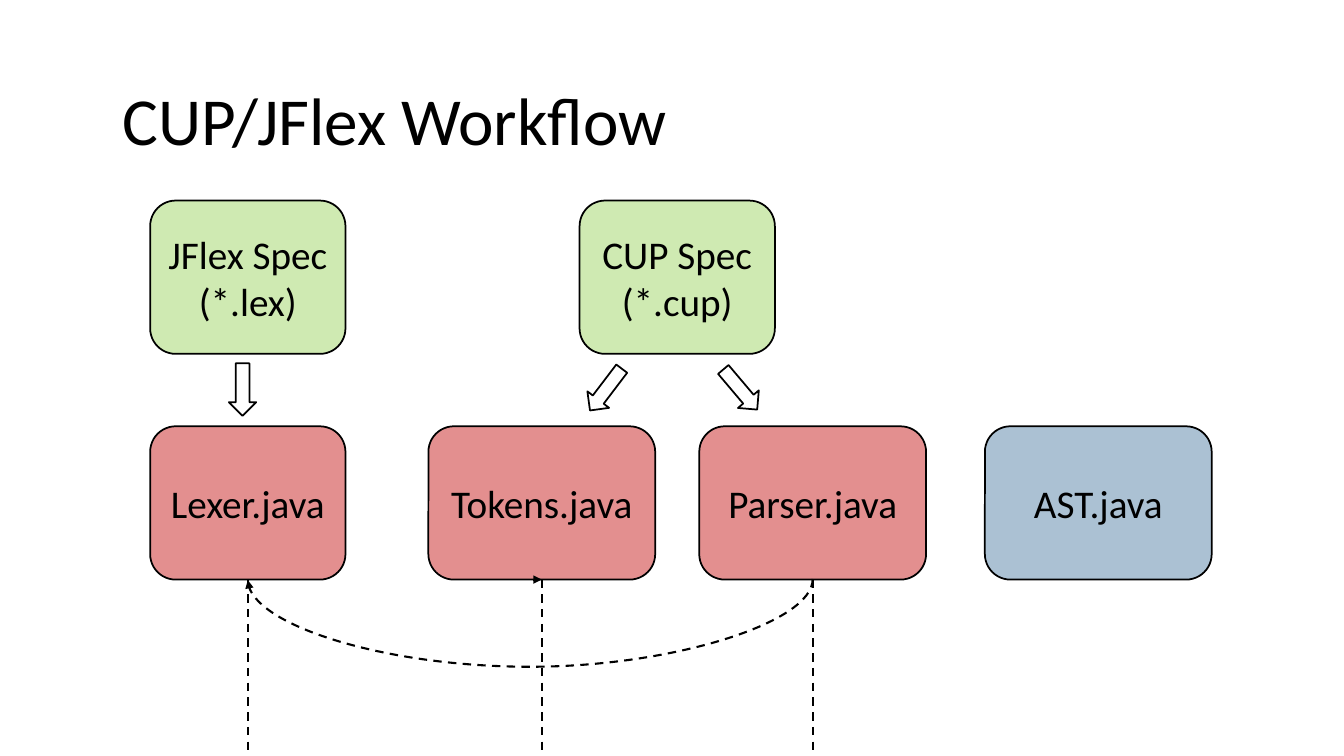
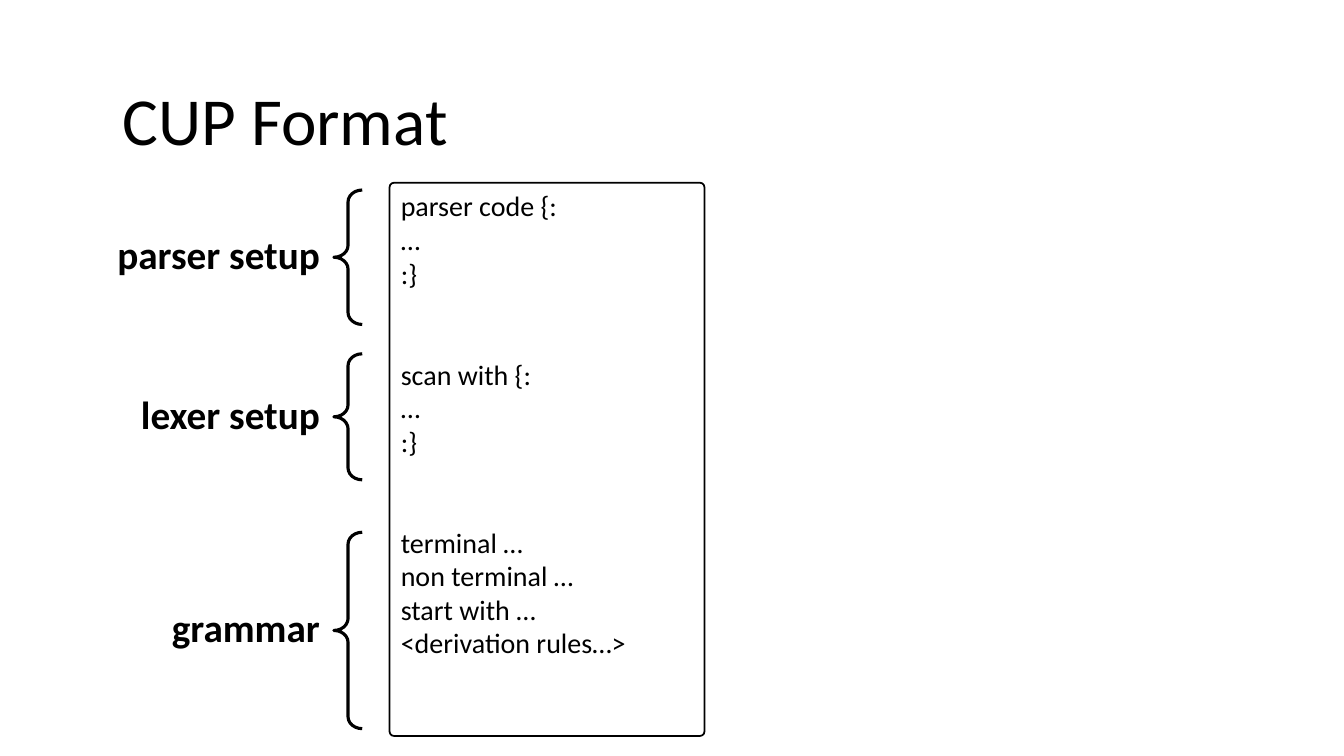
from lxml.etree import SubElement
from pptx import Presentation
from pptx.dml.color import RGBColor
from pptx.enum.dml import MSO_LINE
from pptx.enum.shapes import MSO_CONNECTOR as CXN, MSO_SHAPE as SHAPE
from pptx.enum.text import MSO_ANCHOR as ANCHOR, PP_ALIGN as ALIGN
from pptx.oxml.ns import qn
from pptx.util import Pt

PX = 9525  # EMU per px, 96 px to the inch
WIDTH, HEIGHT = 1280, 720
COLORS = {"ink": "000000", "paper": "FFFFFF", "spec": "92D050",
          "generated": "C00000", "manual": "40749B"}
TITLE_AT = (107, 70, 1065, 87)
TITLE_FONT = {"size": 48}
BOX_FONT = {"size": 28}
LABEL_FONT = {"size": 28, "bold": True}
CODE_FONT = {"size": 20}
BOTTOM, TOP = 2, 0  # connection sites


def px(*values):
    return [round(v * PX) for v in values]


def color(name):
    return RGBColor.from_string(COLORS[name])


def write(shape, lines, fmt, align=ALIGN.LEFT, anchor=ANCHOR.TOP):
    tf = shape.text_frame
    tf.word_wrap = True
    tf.vertical_anchor = anchor
    for i, line in enumerate(lines):
        p = tf.paragraphs[0] if i == 0 else tf.add_paragraph()
        p.alignment = align
        r = p.add_run()
        r.text = line
        for key, value in {"name": "Calibri", **fmt}.items():
            setattr(r.font, key, Pt(value) if key == "size" else value)
        r.font.color.rgb = color("ink")
    return tf


def add_slide(prs, title):
    s = prs.slides.add_slide(prs.slide_layouts[5])
    sp = s.shapes.title
    sp.left, sp.top, sp.width, sp.height = px(*TITLE_AT)
    write(sp, [title], TITLE_FONT)
    return s


def add_shape(s, kind, at, fill=None, line=1.25, alpha=None, rotation=0):
    sp = s.shapes.add_shape(kind, *px(*at))
    sp.shadow.inherit = False
    sp.rotation = rotation
    sp.line.color.rgb = color("ink")
    sp.line.width = Pt(line)
    if fill is None:
        sp.fill.background()
    else:
        sp.fill.solid()
        sp.fill.fore_color.rgb = color(fill)
    if alpha:
        rgb = sp.fill._xPr.find(".//" + qn("a:srgbClr"))
        SubElement(rgb, qn("a:alpha"), val=str(alpha * 1000))
    return sp


def add_file_box(s, lines, left, top, width, fill):
    sp = add_shape(s, SHAPE.ROUNDED_RECTANGLE, (left, top, width, 146), fill, alpha=44)
    write(sp, lines, BOX_FONT, ALIGN.CENTER, ANCHOR.MIDDLE)
    return sp


def add_dashed(s, kind, ends, arrow=False):
    c = s.shapes.add_connector(kind, *ends)
    c.line.color.rgb = color("ink")
    c.line.width = Pt(1.5)
    c.line.dash_style = MSO_LINE.DASH
    if arrow:
        SubElement(c.line._get_or_add_ln(), qn("a:tailEnd"), type="triangle")
    SubElement(c._element.spPr, qn("a:effectLst"))
    return c


def bottom_middle(sp):
    return sp.left + sp.width // 2, sp.top + sp.height


def add_drop_line(s, box):
    x, y = bottom_middle(box)
    c = add_dashed(s, CXN.STRAIGHT, (x, y, x, HEIGHT * PX))
    c.begin_connect(box, BOTTOM)


def add_hanging_curve(s, start, end, depth):
    """Arrow from the right box to the left one, sagging below both."""
    (x1, y), (x2, _) = bottom_middle(start), bottom_middle(end)
    c = add_dashed(s, CXN.CURVE, (x1, y, x2, y), arrow=True)
    c.begin_connect(start, BOTTOM)
    c.end_connect(end, BOTTOM)
    # A one px wide connector turned by 90 degrees; adj1 gives the sag in widths
    span = x1 - x2
    c.left, c.top = (x1 + x2 - PX) // 2, y - span // 2
    c.width, c.height = PX, span
    xfrm = c._element.spPr.find(qn("a:xfrm"))
    for flip in ("flipH", "flipV"):
        xfrm.attrib.pop(flip, None)
    xfrm.set("rot", "5400000")
    geom = c._element.spPr.find(qn("a:prstGeom"))
    guides = geom.find(qn("a:avLst"))
    if guides is None:
        guides = SubElement(geom, qn("a:avLst"))
    SubElement(guides, qn("a:gd"), name="adj1", fmla=f"val {depth * 100000}")


def add_workflow(prs):
    s = add_slide(prs, "CUP/JFlex Workflow")

    # Specifications and the files around them
    spec_top, java_top = 191, 406
    for lines, left in ((["JFlex Spec", "(*.lex)"], 143), (["CUP Spec", "(*.cup)"], 552)):
        add_file_box(s, lines, left, spec_top, 186, "spec")
    lexer, tokens, parser, _ = [
        add_file_box(s, [name + ".java"], left, java_top, width, fill)
        for name, left, width, fill in (
            ("Lexer", 143, 186, "generated"), ("Tokens", 408, 216, "generated"),
            ("Parser", 666, 216, "generated"), ("AST", 938, 216, "manual"))]

    # Block arrows from specification to generated file
    for left, rotation in ((206, 90), (552, 127.2), (680, 49.8)):
        add_shape(s, SHAPE.RIGHT_ARROW, (left, 358, 50, 26), "paper", rotation=rotation)

    # Dependencies between generated files
    for box in (lexer, tokens, parser):
        add_drop_line(s, box)
    x, y = bottom_middle(tokens)
    head = add_dashed(s, CXN.STRAIGHT, (x - 8 * PX, y, x, y), arrow=True)
    head.end_connect(tokens, BOTTOM)
    add_hanging_curve(s, parser, lexer, 85)


def add_format(prs):
    s = add_slide(prs, "CUP Format")

    # Skeleton of a CUP file
    sections = (["parser code {:", "…", ":}"],
                ["scan with {:", "…", ":}"],
                ["terminal …", "non terminal …", "start with …", "<derivation rules…>"])
    sp = add_shape(s, SHAPE.ROUNDED_RECTANGLE, (371, 174, 300, 527), "paper")
    sp.adjustments[0] = 0.015
    tf = write(sp, [line for section in sections for line in section], CODE_FONT)
    first = 0
    for section in sections[:-1]:
        first += len(section)
        tf.paragraphs[first].space_before = Pt(48)

    # Braces with their labels
    for label, top, height in (("parser setup", 181, 128), ("lexer setup", 337, 120),
                               ("grammar", 507, 187)):
        brace = add_shape(s, SHAPE.LEFT_BRACE, (318, top, 27, height), line=2.25)
        brace.adjustments[0] = 0.42
        box = s.shapes.add_textbox(*px(67, top + height // 2 - 30, 247, 55))
        write(box, [label], LABEL_FONT, ALIGN.RIGHT)


def main():
    prs = Presentation()
    prs.slide_width, prs.slide_height = px(WIDTH, HEIGHT)
    add_workflow(prs)
    add_format(prs)
    prs.save("out.pptx")


if __name__ == "__main__":
    main()
